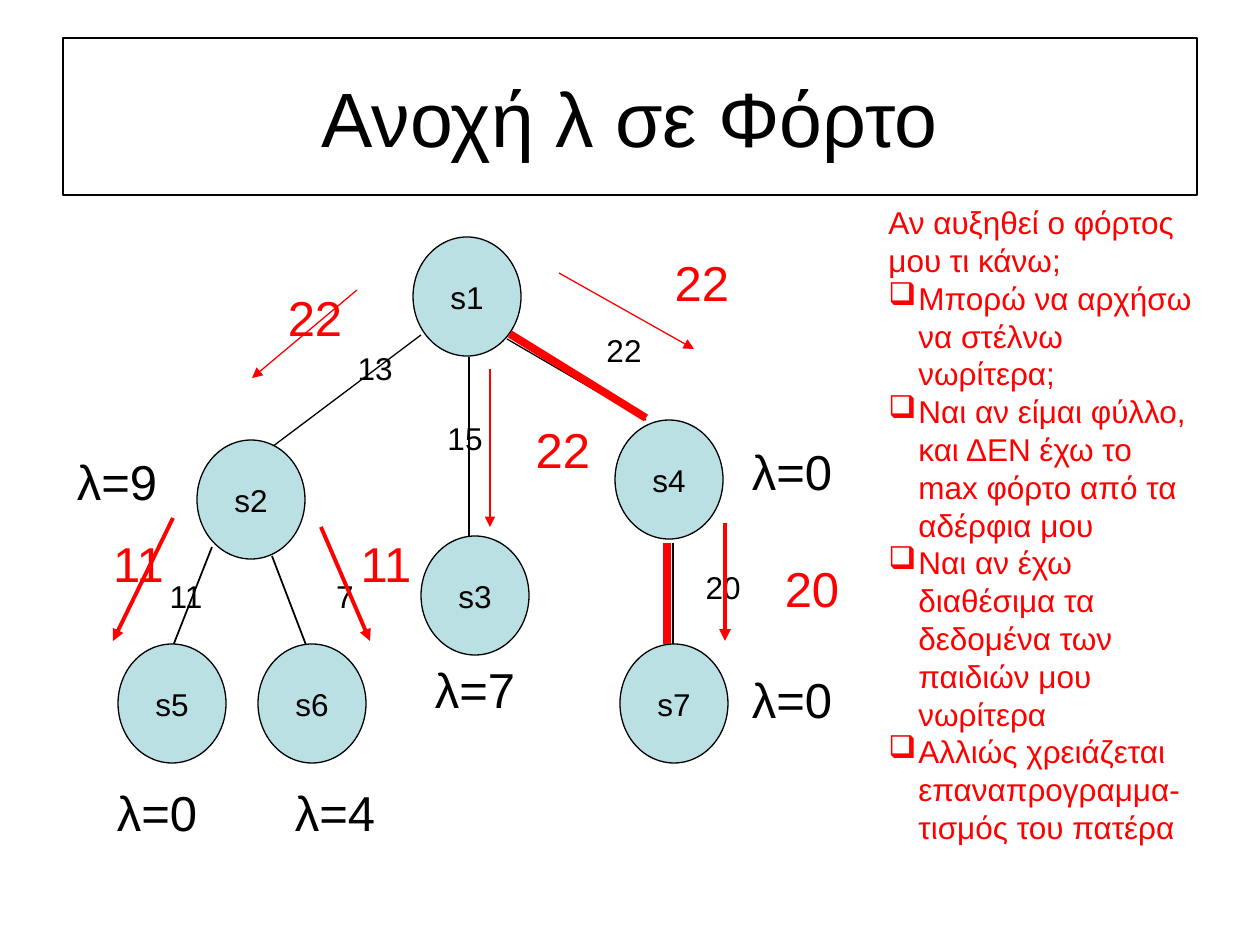
from lxml import etree
from pptx import Presentation
from pptx.dml.color import RGBColor
from pptx.enum.shapes import MSO_CONNECTOR, MSO_SHAPE
from pptx.enum.text import MSO_ANCHOR, PP_ALIGN
from pptx.oxml.ns import qn
from pptx.util import Emu, Pt

STRAIGHT = MSO_CONNECTOR.STRAIGHT
RECTANGLE, OVAL = MSO_SHAPE.RECTANGLE, MSO_SHAPE.OVAL
MIDDLE, TOP = MSO_ANCHOR.MIDDLE, MSO_ANCHOR.TOP
CENTER, LEFT = PP_ALIGN.CENTER, PP_ALIGN.LEFT

EMU_PER_PX = 914400 / 126
FONT = "Arial"
BLACK, RED, NODE_FILL = "000000", "FF0000", "BBE0E3"
NODE_WIDTH, NODE_HEIGHT = 108, 119
LABEL_WIDTH = 108

# name, left, top
NODES = [
    ("s1", 413, 237), ("s2", 197, 440), ("s3", 421, 536), ("s4", 615, 420),
    ("s5", 118, 644), ("s6", 258, 644), ("s7", 620, 644),
]
# start x, start y, end x, end y, line width
EDGES = [
    (272, 556, 311, 658, 1), (212, 547, 173, 646, 1), (469, 357, 469, 536, 1),
    (272, 447, 421, 335, 0.75), (646, 420, 507, 339, 0.75), (673, 644, 673, 543, 0.75),
]
MAX_LOAD_EDGES = [(510, 334, 646, 418, 4.5), (667, 543, 667, 644, 4.5)]
NEW_LOAD_ARROWS = [
    (357, 290, 252, 378, 0.75), (559, 273, 694, 349, 0.75), (490, 369, 490, 527, 0.75),
    (725, 523, 725, 641, 2.25), (173, 518, 113, 641, 2.25), (321, 527, 370, 641, 2.25),
]
# text, left, top
EDGE_LOADS = [
    ("11", 132, 571), ("22", 570, 325), ("15", 411, 413),
    ("13", 321, 343), ("7", 291, 571), ("20", 669, 562),
]
TOLERANCES = [
    ("λ=0", 738, 663), ("λ=7", 421, 653), ("λ=0", 738, 435),
    ("λ=9", 63, 445), ("λ=4", 281, 776), ("λ=0", 103, 776),
]
# text, left, top, width
NEW_LOADS = [
    ("22", 232, 281, 166), ("22", 619, 246, 166), ("22", 480, 413, 166),
    ("20", 762, 552, 100), ("11", 54, 527, 169), ("11", 331, 527, 110),
]
QUESTION = "Αν αυξηθεί ο φόρτος μου τι κάνω;"
ANSWERS = [
    "Μπορώ να αρχήσω να στέλνω νωρίτερα;",
    "Ναι αν είμαι φύλλο, και ΔΕΝ έχω το max φόρτο από τα αδέρφια μου",
    "Ναι αν έχω διαθέσιμα τα δεδομένα των παιδιών μου νωρίτερα",
    "Αλλιώς χρειάζεται επαναπρογραμμα-τισμός του πατέρα",
]


def px(length):
    return Emu(round(length * EMU_PER_PX))


def rgb(color):
    return RGBColor.from_string(color)


def format_paragraph(paragraph, size, color, alignment=CENTER):
    paragraph.alignment = alignment
    for run in paragraph.runs:
        run.font.name = FONT
        run.font.size = Pt(size)
        run.font.color.rgb = rgb(color)


def add_outlined_shape(slide, kind, box, text, size, fill=None):
    shape = slide.shapes.add_shape(kind, *map(px, box))
    shape.shadow.inherit = False
    if fill:
        shape.fill.solid()
        shape.fill.fore_color.rgb = rgb(fill)
    else:
        shape.fill.background()
    shape.line.color.rgb = rgb(BLACK)
    shape.line.width = Pt(0.75)
    frame = shape.text_frame
    frame.text = text
    frame.word_wrap = kind == RECTANGLE
    frame.vertical_anchor = MIDDLE
    format_paragraph(frame.paragraphs[0], size, BLACK)


def add_text_frame(slide, box):
    frame = slide.shapes.add_textbox(*map(px, box)).text_frame
    frame.word_wrap = True
    frame.vertical_anchor = TOP
    return frame


def add_label(slide, text, box, size, color):
    frame = add_text_frame(slide, box)
    frame.text = text
    format_paragraph(frame.paragraphs[0], size, color)


def add_line(slide, start_x, start_y, end_x, end_y, width, color, arrow=False):
    ends = map(px, (start_x, start_y, end_x, end_y))
    connector = slide.shapes.add_connector(STRAIGHT, *ends)
    connector.line.color.rgb = rgb(color)
    connector.line.width = Pt(width)
    if arrow:
        line = connector.line._get_or_add_ln()
        etree.SubElement(line, qn("a:tailEnd"), type="triangle")
    etree.SubElement(connector._element.spPr, qn("a:effectLst"))


def add_bullet(paragraph, color, indent):
    properties = paragraph._p.get_or_add_pPr()
    properties.set("marL", str(px(indent)))
    properties.set("indent", str(-px(indent)))
    bullet_color = etree.SubElement(properties, qn("a:buClr"))
    etree.SubElement(bullet_color, qn("a:srgbClr"), val=color)
    etree.SubElement(properties, qn("a:buChar"), char="❑")


def add_notes_column(slide):
    frame = add_text_frame(slide, (876, 197, 335, 617))
    frame.text = "\n".join([QUESTION, *ANSWERS])
    for paragraph in frame.paragraphs:
        format_paragraph(paragraph, 18, RED, LEFT)
        paragraph.line_spacing = Pt(21.6)
    for paragraph in frame.paragraphs[1:]:
        add_bullet(paragraph, RED, 30)


def main():
    presentation = Presentation()
    presentation.slide_width, presentation.slide_height = px(1260), px(945)
    slide = presentation.slides.add_slide(presentation.slide_layouts[6])

    add_outlined_shape(slide, RECTANGLE, (63, 38, 1134, 157), "Ανοχή λ σε Φόρτο", 44)
    for edge in EDGES:
        add_line(slide, *edge, BLACK)
    for name, left, top in NODES:
        box = (left, top, NODE_WIDTH, NODE_HEIGHT)
        add_outlined_shape(slide, OVAL, box, name, 18, NODE_FILL)
    for text, left, top in EDGE_LOADS:
        add_label(slide, text, (left, top, LABEL_WIDTH, 50), 18, BLACK)
    for edge in MAX_LOAD_EDGES:
        add_line(slide, *edge, RED)
    for text, left, top, width in NEW_LOADS:
        add_label(slide, text, (left, top, width, 72), 28, RED)
    for arrow in NEW_LOAD_ARROWS:
        add_line(slide, *arrow, RED, arrow=True)
    for text, left, top in TOLERANCES:
        add_label(slide, text, (left, top, LABEL_WIDTH, 72), 28, BLACK)
    add_notes_column(slide)

    presentation.save("out.pptx")


if __name__ == "__main__":
    main()
